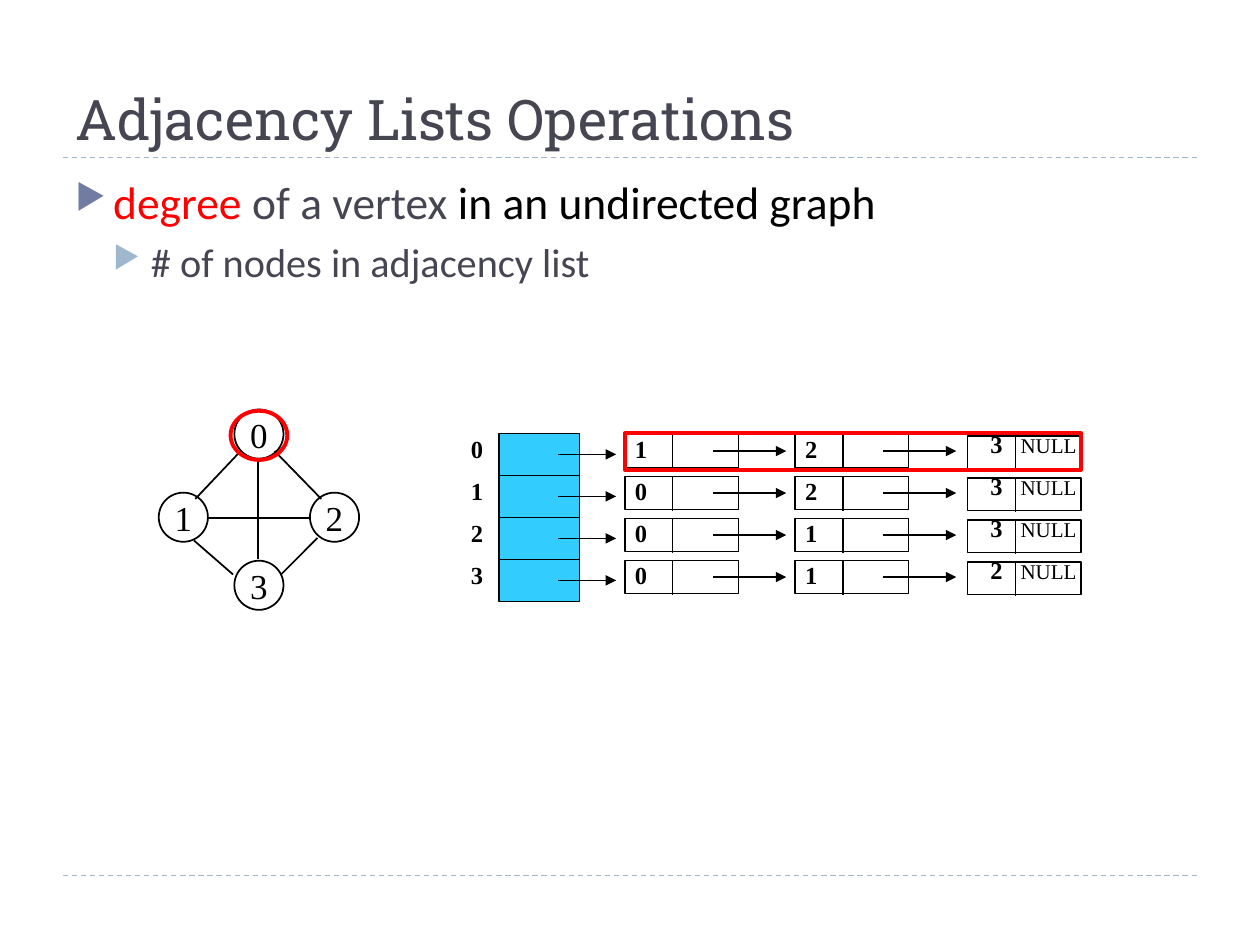
from dataclasses import dataclass

from lxml.etree import SubElement
from pptx import Presentation
from pptx.dml.color import RGBColor
from pptx.enum.dml import MSO_LINE_DASH_STYLE as Dash
from pptx.enum.shapes import MSO_CONNECTOR_TYPE as Connector, MSO_SHAPE as Preset
from pptx.enum.text import MSO_VERTICAL_ANCHOR as Anchor, PP_PARAGRAPH_ALIGNMENT as Align
from pptx.oxml.ns import qn
from pptx.util import Inches, Pt


@dataclass(frozen=True)
class Theme:
    ink: str = "000000"
    heading: str = "464653"
    accent: str = "FF0000"
    paper: str = "FFFFFF"
    array: str = "33CCFF"
    rule: str = "9FB8CD"
    bullets: tuple = ("727CA3", "9FB8CD")
    title_font: str = "Roboto Slab"
    body_font: str = "Calibri"
    diagram_font: str = "Times New Roman"
    title_size: int = 32
    body_sizes: tuple = (26, 23)
    body_spacing: tuple = (0, 5)
    vertex_size: int = 20
    cell_size: int = 14
    null_size: int = 12
    thin: float = 0.75
    medium: float = 1
    thick: float = 2.25


class SlideBuilder:
    def __init__(self, slide, theme):
        self.slide = slide
        self.theme = theme

    def set_font(self, font, name, size, color, bold=False):
        font.name = name
        font.size = Pt(size)
        font.color.rgb = RGBColor.from_string(color)
        font.bold = bold

    def set_frame(self, frame, anchor, insets, wrap):
        frame.vertical_anchor = anchor
        frame.word_wrap = wrap
        (frame.margin_left, frame.margin_top,
         frame.margin_right, frame.margin_bottom) = map(Inches, insets)

    def text_box(self, box, anchor=Anchor.TOP, insets=(0.1, 0.05, 0.1, 0.05)):
        shape = self.slide.shapes.add_textbox(*map(Inches, box))
        self.set_frame(shape.text_frame, anchor, insets, True)
        return shape.text_frame

    def title(self, box, text):
        paragraph = self.text_box(box, Anchor.BOTTOM).paragraphs[0]
        paragraph.text = text
        theme = self.theme
        self.set_font(paragraph.font, theme.title_font, theme.title_size, theme.heading)

    def bullet(self, paragraph, level, runs):
        theme = self.theme
        paragraph.level = level
        paragraph.space_before = Pt(theme.body_spacing[level])
        properties = paragraph._p.get_or_add_pPr()
        properties.set("marL", str(Inches(0.3 * (level + 1))))
        properties.set("indent", str(Inches(-0.3)))
        color = SubElement(properties, qn("a:buClr"))
        SubElement(color, qn("a:srgbClr"), val=theme.bullets[level])
        SubElement(properties, qn("a:buSzPct"), val="76000")
        SubElement(properties, qn("a:buChar"), char="▶")
        paragraph.font.name = theme.body_font
        paragraph.font.size = Pt(theme.body_sizes[level])
        for text, run_color in runs:
            run = paragraph.add_run()
            run.text = text
            run.font.color.rgb = RGBColor.from_string(run_color)

    def shape(self, preset, box, fill=None, color=None, width=None):
        shape = self.slide.shapes.add_shape(preset, *map(Inches, box))
        shape.shadow.inherit = False
        if fill:
            shape.fill.solid()
            shape.fill.fore_color.rgb = RGBColor.from_string(fill)
        else:
            shape.fill.background()
        shape.line.color.rgb = RGBColor.from_string(color or self.theme.ink)
        shape.line.width = Pt(width or self.theme.thin)
        return shape

    def line(self, start, end, color=None, width=None, dash=None, arrow=False):
        connector = self.slide.shapes.add_connector(
            Connector.STRAIGHT, *map(Inches, (*start, *end)))
        connector.line.color.rgb = RGBColor.from_string(color or self.theme.ink)
        connector.line.width = Pt(width or self.theme.thin)
        if dash:
            connector.line.dash_style = dash
        if arrow:
            SubElement(connector.line._get_or_add_ln(), qn("a:tailEnd"), type="triangle")
        SubElement(connector._element.spPr, qn("a:effectLst"))

    def vertex(self, left, top, label):
        theme = self.theme
        shape = self.shape(Preset.OVAL, (left, top, 0.39, 0.39), theme.paper, width=theme.medium)
        self.set_frame(shape.text_frame, Anchor.MIDDLE, (0.1, 0.05, 0.1, 0.05), False)
        paragraph = shape.text_frame.paragraphs[0]
        paragraph.text = label
        paragraph.alignment = Align.CENTER
        self.set_font(paragraph.font, theme.diagram_font, theme.vertex_size, theme.ink)

    def index_label(self, left, top, label):
        theme = self.theme
        paragraph = self.text_box((left, top, 0.25, 0.24), Anchor.MIDDLE, (0, 0, 0, 0)).paragraphs[0]
        paragraph.text = label
        paragraph.alignment = Align.CENTER
        self.set_font(paragraph.font, theme.diagram_font, theme.cell_size, theme.ink, True)

    def list_node(self, left, top, label, last=False):
        theme = self.theme
        shape = self.shape(Preset.RECTANGLE, (left, top, 0.9, 0.26))
        insets = (0.18, 0, 0, 0.08) if last else (0.08, 0, 0, 0.03)
        self.set_frame(shape.text_frame, Anchor.BOTTOM, insets, True)
        paragraph = shape.text_frame.paragraphs[0]
        paragraph.alignment = Align.LEFT
        if last:
            tabs = SubElement(paragraph._p.get_or_add_pPr(), qn("a:tabLst"))
            SubElement(tabs, qn("a:tab"), pos=str(Inches(0.24)), algn="l")
        run = paragraph.add_run()
        run.text = label
        self.set_font(run.font, theme.diagram_font, theme.cell_size, theme.ink, True)
        if last:
            run = paragraph.add_run()
            run.text = "\tNULL"
            self.set_font(run.font, theme.diagram_font, theme.null_size, theme.ink)
        self.line((left + 0.38, top), (left + 0.38, top + 0.27))
        if not last:
            self.line((left + 0.7, top + 0.13), (left + 1.28, top + 0.13), arrow=True)

    def adjacency_row(self, top, height, index, neighbors):
        self.shape(Preset.RECTANGLE, (3.96, top, 0.64, height), self.theme.array)
        self.line((4.43, top + height / 2), (4.89, top + height / 2), arrow=True)
        self.index_label(3.66, top, str(index))
        first, second, third = neighbors
        self.list_node(4.96, top + 0.01, first)
        self.list_node(6.31, top + 0.01, second)
        self.list_node(7.68, top + 0.02, third, last=True)


def main():
    presentation = Presentation()
    presentation.slide_width = Inches(10)
    presentation.slide_height = Inches(7.5)
    theme = Theme()
    builder = SlideBuilder(presentation.slides.add_slide(presentation.slide_layouts[6]), theme)

    for rule_top in (6.95, 1.25):
        builder.line((0.5, rule_top), (9.5, rule_top), theme.rule, dash=Dash.DASH)
    builder.title((0.5, 0.17, 9, 1.08), "Adjacency Lists Operations")
    body = builder.text_box((0.5, 1.33, 9, 5.4))
    builder.bullet(body.paragraphs[0], 0, [
        ("degree", theme.accent), (" of a vertex", theme.heading),
        (" in an undirected graph", theme.ink)])
    builder.bullet(body.add_paragraph(), 1, [("# of nodes in adjacency list", theme.heading)])

    vertices = [(1.86, 3.25), (1.26, 3.91), (2.46, 3.91), (1.86, 4.45)]
    for index, (left, top) in enumerate(vertices):
        builder.vertex(left, top, str(index))
    edges = [((2.05, 3.64), (2.05, 4.44)), ((1.65, 4.11), (2.45, 4.11)),
             ((1.91, 3.58), (1.55, 3.96)), ((2.18, 3.58), (2.55, 3.96)),
             ((1.54, 4.29), (1.85, 4.56)), ((2.52, 4.27), (2.23, 4.56))]
    for start, end in edges:
        builder.line(start, end, width=theme.medium)

    row_height = 1 / 3
    for index, neighbors in enumerate(("123", "023", "013", "012")):
        builder.adjacency_row(3.44 + index * row_height, row_height, index, neighbors)

    builder.shape(Preset.OVAL, (1.83, 3.26, 0.45, 0.39), color=theme.accent, width=theme.thick)
    builder.shape(Preset.RECTANGLE, (4.96, 3.44, 3.62, 0.29), color=theme.accent, width=theme.thick)
    presentation.save("out.pptx")


if __name__ == "__main__":
    main()
